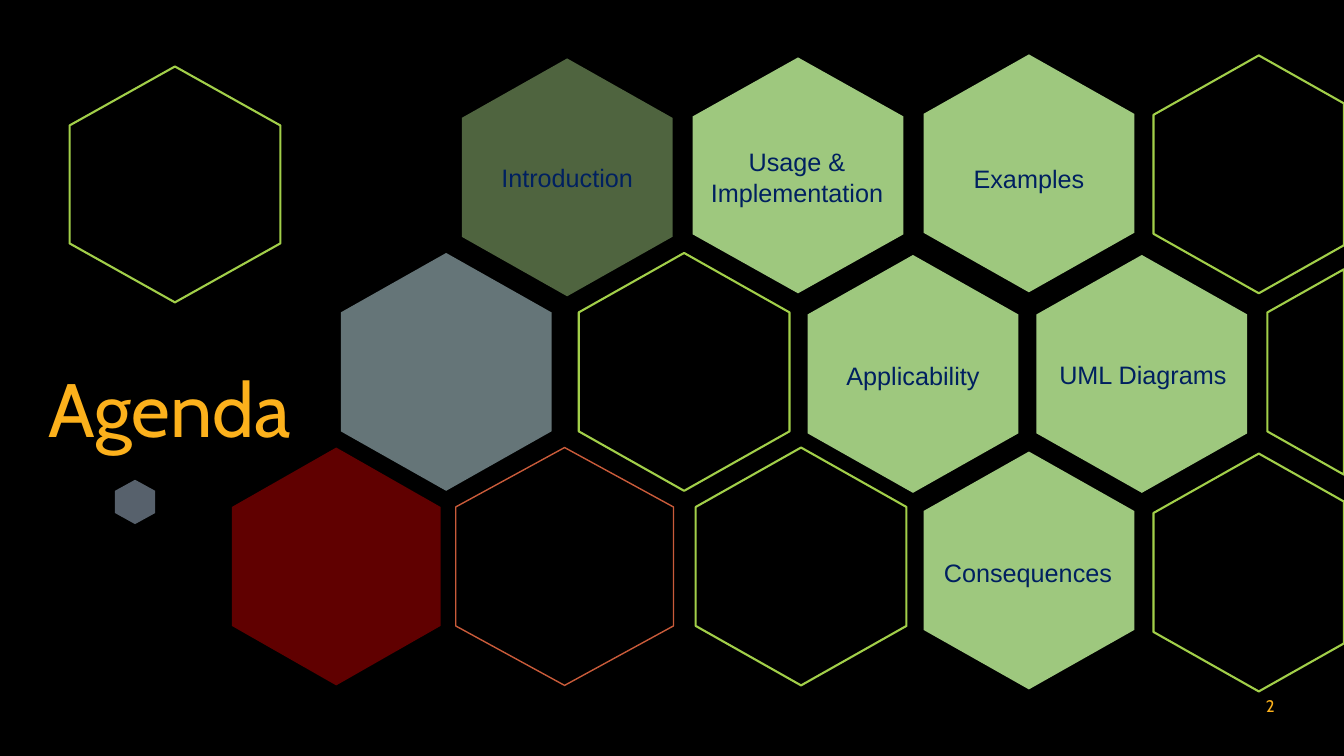
"""Build an agenda slide with a honeycomb of labelled hexagons."""
from lxml import etree
from pptx import Presentation
from pptx.dml.color import RGBColor
from pptx.enum.text import MSO_ANCHOR, PP_ALIGN
from pptx.oxml.ns import qn
from pptx.util import Inches, Pt

MIDDLE = MSO_ANCHOR.MIDDLE
LEFT, CENTER, RIGHT = PP_ALIGN.LEFT, PP_ALIGN.CENTER, PP_ALIGN.RIGHT
BLACK = RGBColor(0x00, 0x00, 0x00)
GREEN = RGBColor(0x9E, 0xC8, 0x7E)
LIME = RGBColor(0xA2, 0xCF, 0x49)
ORANGE = RGBColor(0xC9, 0x5B, 0x3A)
PALE_BLUE = RGBColor(0xCA, 0xEB, 0xF1)
STEEL = RGBColor(0xAE, 0xC2, 0xD8)
RED = RGBColor(0xC0, 0x00, 0x00)
NAVY = RGBColor(0x00, 0x20, 0x60)
GOLD = RGBColor(0xFC, 0xB1, 0x1C)
SLIDE_W, SLIDE_H = 13.33, 7.5
HEX_W, HEX_H = 2.09, 2.36

prs = Presentation()
prs.slide_width, prs.slide_height = Inches(SLIDE_W), Inches(SLIDE_H)
slide = prs.slides.add_slide(prs.slide_layouts[6])
slide.background.fill.solid()
slide.background.fill.fore_color.rgb = BLACK


def add_hexagon(x, y, w, h, fill=None, opacity=100, line=None, weight=1.5):
    """Draw a pointy-topped hexagon, cut off at the slide's right edge."""
    mid, right = x + w / 2, min(x + w, SLIDE_W)
    drop = abs(right - mid) / (w / 2) * h / 4
    points = [(right, y + drop), (right, y + h - drop)]
    if mid < right:
        points = [(mid, y)] + points + [(mid, y + h)]
    points += [(x, y + h * 3 / 4), (x, y + h / 4)]
    points = [(Inches(px), Inches(py)) for px, py in points]
    builder = slide.shapes.build_freeform(*points[0])
    builder.add_line_segments(points[1:])
    s = builder.convert_to_shape()
    s.shadow.inherit = False
    if fill is None:
        s.fill.background()
    else:
        s.fill.solid()
        s.fill.fore_color.rgb = fill
        if opacity < 100:
            color = s.fill._xPr.find(qn("a:solidFill"))[0]
            etree.SubElement(color, qn("a:alpha")).set("val", str(opacity * 1000))
    if line is None:
        s.line.fill.background()
    else:
        s.line.color.rgb = line
        s.line.width = Pt(weight)
    return s


def set_text(s, text, size, font, color, align):
    """Write one vertically centred paragraph into a shape."""
    tf = s.text_frame
    tf.word_wrap = True
    tf.vertical_anchor = MIDDLE
    p = tf.paragraphs[0]
    p.text = text
    p.alignment = align
    p.font.size = Pt(size)
    p.font.name = font
    p.font.color.rgb = color
    return p


for x, y, h in [(6.87, 0.57, 2.34), (9.16, 0.54, HEX_H), (8.01, 2.53, HEX_H),
                (9.16, 4.48, HEX_H), (10.28, 2.53, HEX_H)]:
    add_hexagon(x, y, HEX_W, h, fill=GREEN)

for x, y, h in [(0.69, 0.66, 2.34), (11.44, 0.55, HEX_H), (12.57, 2.51, HEX_H),
                (11.44, 4.5, HEX_H), (5.74, 2.51, HEX_H), (6.9, 4.44, HEX_H)]:
    add_hexagon(x, y, HEX_W, h, line=LIME)

title = slide.shapes.add_textbox(Inches(0.38), Inches(3.15), Inches(4.65), Inches(1.9))
set_text(title, "Agenda", 54, "Cabin", GOLD, LEFT).line_spacing = 0.9

labels = [
    ("Usage & Implementation", 6.86, 1.18, 1.15, 1.0),
    ("Examples", 9.16, 1.18, 1.15, 1.13),
    ("Applicability", 8.01, 3.11, 1.19, 1.13),
    ("UML Diagrams", 10.29, 3.09, 1.21, 1.13),
    ("Consequences", 9.15, 5.07, 1.18, 1.13),
]
for text, x, y, h, spacing in labels:
    label = slide.shapes.add_textbox(Inches(x), Inches(y), Inches(HEX_W), Inches(h))
    p = set_text(label, text, 18, "Arial", NAVY, CENTER)
    p.line_spacing = spacing
    p.space_before = Pt(10)

number = slide.shapes.add_textbox(Inches(12.24), Inches(6.8), Inches(0.5), Inches(0.4))
set_text(number, "2", 12, "Cabin", GOLD, RIGHT)

introduction = add_hexagon(4.58, 0.58, HEX_W, HEX_H, fill=GREEN, opacity=50)
set_text(introduction, "Introduction", 18, "Arial", NAVY, CENTER)
add_hexagon(4.52, 4.44, 2.16, HEX_H, fill=BLACK, opacity=50, line=ORANGE, weight=1)
add_hexagon(3.38, 2.51, HEX_W, HEX_H, fill=PALE_BLUE, opacity=50)
add_hexagon(1.14, 4.76, 0.4, 0.44, fill=STEEL, opacity=50)
add_hexagon(2.3, 4.44, 2.07, HEX_H, fill=RED, opacity=50)

prs.save("out.pptx")
